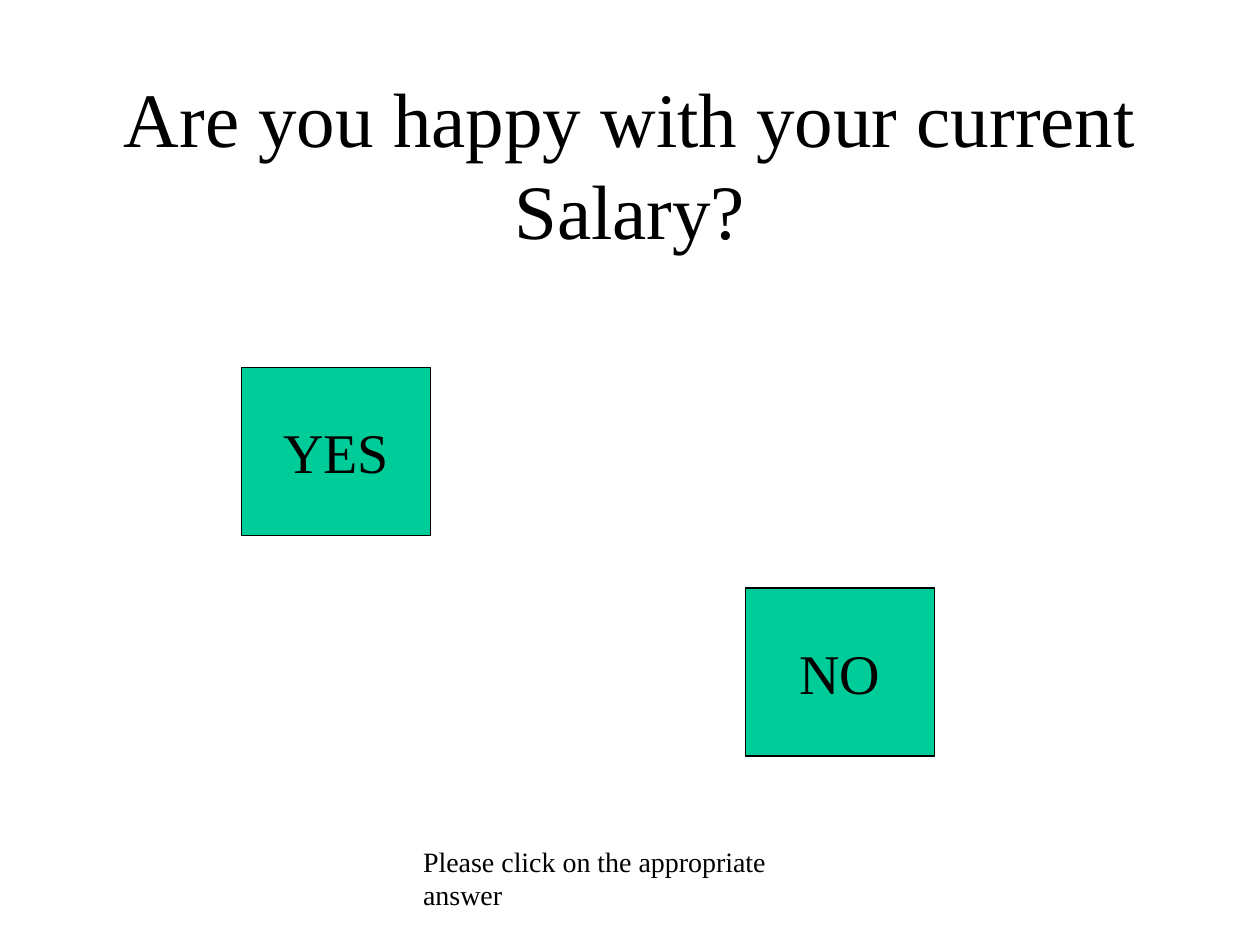
from pptx import Presentation
from pptx.dml.color import RGBColor
from pptx.enum.shapes import MSO_SHAPE as Shape
from pptx.enum.text import MSO_ANCHOR as Anchor, MSO_AUTO_SIZE as AutoSize, PP_ALIGN as Align
from pptx.util import Inches, Pt

BLACK = RGBColor(0x00, 0x00, 0x00)
WHITE = RGBColor(0xFF, 0xFF, 0xFF)
GREEN = RGBColor(0x00, 0xCC, 0x99)
FONT = "Times New Roman"

prs = Presentation()
prs.slide_width, prs.slide_height = Inches(10), Inches(7.5)
slide = prs.slides.add_slide(prs.slide_layouts[6])
slide.background.fill.solid()
slide.background.fill.fore_color.rgb = WHITE

COLUMN = prs.slide_width / 120
ROW = prs.slide_height / 90


def place(column, row, columns, rows):
    return int(column * COLUMN), int(row * ROW), int(columns * COLUMN), int(rows * ROW)


def write(holder, text, size, align=Align.CENTER, anchor=Anchor.MIDDLE, wrap=False):
    frame = holder.text_frame
    frame.word_wrap = wrap
    frame.vertical_anchor = anchor
    paragraph = frame.paragraphs[0]
    paragraph.alignment = align
    run = paragraph.add_run()
    run.text = text
    run.font.name = FONT
    run.font.size = Pt(size)
    run.font.color.rgb = BLACK


question = slide.shapes.add_textbox(*place(9, 8, 102, 15))
write(question, "Are you happy with your current Salary?", size=44, wrap=True)

for answer, column, row in [("YES", 23, 35), ("NO", 71, 56)]:
    button = slide.shapes.add_shape(Shape.RECTANGLE, *place(column, row, 18, 16))
    button.shadow.inherit = False
    button.fill.solid()
    button.fill.fore_color.rgb = GREEN
    button.line.color.rgb = BLACK
    button.line.width = Pt(0.75)
    write(button, answer, size=32)

instruction = slide.shapes.add_textbox(*place(39.12, 79.8, 43.2, 4.44))
write(instruction, "Please click on the appropriate answer", size=16,
      align=Align.LEFT, anchor=Anchor.TOP)
instruction.text_frame.auto_size = AutoSize.SHAPE_TO_FIT_TEXT

prs.save("out.pptx")
